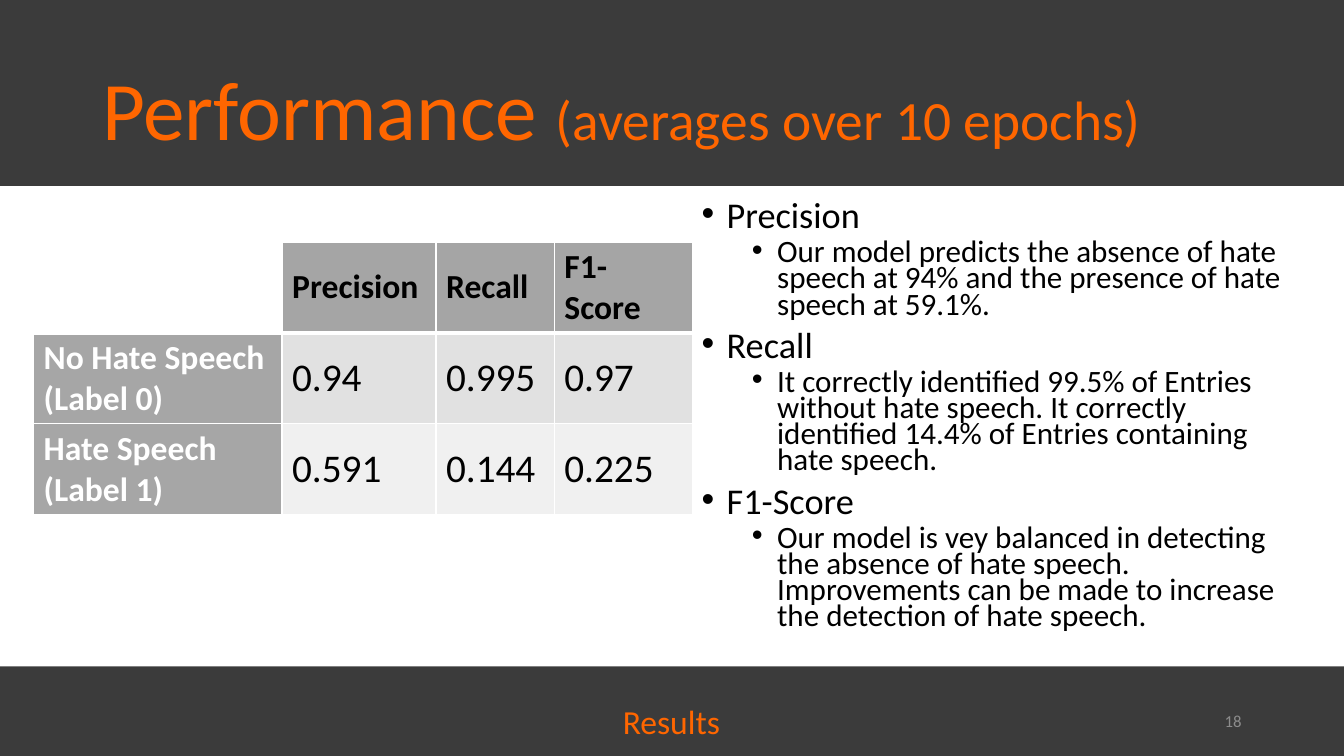
from dataclasses import dataclass

import lxml.etree
import pptx
import pptx.dml.color
import pptx.enum.shapes
import pptx.enum.text
import pptx.oxml.ns
import pptx.util

Pt = pptx.util.Pt
Align = pptx.enum.text.PP_ALIGN
Anchor = pptx.enum.text.MSO_ANCHOR
qn = pptx.oxml.ns.qn


@dataclass(frozen=True)
class Theme:
    font: str = "Calibri"
    dark: str = "3B3B3B"
    white: str = "FFFFFF"
    black: str = "000000"
    accent: str = "FF6600"
    muted: str = "8C8C8C"
    header_fill: str = "A5A5A5"
    label_fill: str = "A6A6A6"
    title_size: float = 59.4
    subtitle_size: float = 39.6
    footer_size: float = 24
    number_size: float = 12
    heading_size: float = 24
    value_size: float = 28
    metric_size: float = 25.9
    detail_size: float = 22.2


@dataclass(frozen=True)
class Area:
    left: float
    top: float
    width: float
    height: float

    def lengths(self) -> tuple:
        return Pt(self.left), Pt(self.top), Pt(self.width), Pt(self.height)


@dataclass(frozen=True)
class ScoreRow:
    label: tuple[str, str]
    scores: tuple[str, str, str]
    fill: str


@dataclass(frozen=True)
class Finding:
    metric: str
    detail: str


THEME = Theme()
SLIDE = Area(0, 0, 960, 540)
CONTENT = Area(0, 133, 960, 343)
TITLE = Area(66, 28.8, 828, 104.4)
PAGE_NUMBER = Area(678, 500.5, 216, 28.75)
FOOTER = Area(437.75, 497, 85, 36)
FINDINGS_AREA = Area(494, 142.5, 442, 347)
SCORES_AREA = Area(24, 172.8, 470.5, 194.4)
COLUMN_WIDTHS = (177.5, 110, 84.5, 98.5)
METRICS = ("Precision", "Recall", "F1-Score")
SCORE_ROWS = (
    ScoreRow(("No Hate Speech", "(Label 0)"), ("0.94", "0.995", "0.97"), "E1E1E1"),
    ScoreRow(("Hate Speech", "(Label 1)"), ("0.591", "0.144", "0.225"), "F0F0F0"),
)
FINDINGS = (
    Finding("Precision", "Our model predicts the absence of hate speech at 94% "
            "and the presence of hate speech at 59.1%."),
    Finding("Recall", "It correctly identified 99.5% of Entries without hate speech. "
            "It correctly identified 14.4% of Entries containing hate speech."),
    Finding("F1-Score", "Our model is vey balanced in detecting the absence of hate speech. "
            "Improvements can be made to increase the detection of hate speech."),
)


def color(code: str) -> pptx.dml.color.RGBColor:
    return pptx.dml.color.RGBColor.from_string(code)


def set_font(font, size: float, code: str, bold: bool = False) -> None:
    font.name = THEME.font
    font.size = Pt(size)
    font.bold = bold
    font.color.rgb = color(code)


def add_text_box(page, area: Area, anchor=Anchor.TOP, wrap: bool = True):
    frame = page.shapes.add_textbox(*area.lengths()).text_frame
    frame.word_wrap = wrap
    frame.vertical_anchor = anchor
    return frame


def add_content_panel(page) -> None:
    panel = page.shapes.add_shape(
        pptx.enum.shapes.MSO_SHAPE.RECTANGLE, *CONTENT.lengths())
    panel.shadow.inherit = False
    panel.fill.solid()
    panel.fill.fore_color.rgb = color(THEME.white)
    panel.line.fill.background()


def add_title(page) -> None:
    para = add_text_box(page, TITLE, Anchor.MIDDLE).paragraphs[0]
    para.line_spacing = 0.9
    for text, size in (("Performance ", THEME.title_size),
                       ("(averages over 10 epochs)", THEME.subtitle_size)):
        span = para.add_run()
        span.text = text
        set_font(span.font, size, THEME.accent)


def add_footer(page) -> None:
    number = add_text_box(page, PAGE_NUMBER, Anchor.MIDDLE).paragraphs[0]
    number.text = "18"
    number.alignment = Align.RIGHT
    set_font(number.font, THEME.number_size, THEME.muted)

    frame = add_text_box(page, FOOTER, wrap=False)
    frame.auto_size = pptx.enum.text.MSO_AUTO_SIZE.SHAPE_TO_FIT_TEXT
    section = frame.paragraphs[0]
    section.text = "Results"
    section.alignment = Align.JUSTIFY
    set_font(section.font, THEME.footer_size, THEME.accent)


def set_borders(cell, bottom_width: float) -> None:
    """Draw white cell borders; call before filling, as XML order matters."""
    properties = cell._tc.get_or_add_tcPr()
    for side, width in (("lnL", 1), ("lnR", 1), ("lnT", 1), ("lnB", bottom_width)):
        line = lxml.etree.SubElement(properties, qn(f"a:{side}"), w=str(Pt(width)))
        fill = lxml.etree.SubElement(line, qn("a:solidFill"))
        lxml.etree.SubElement(fill, qn("a:srgbClr"), val=THEME.white)


def fill_cell(cell, lines: tuple[str, ...], fill: str, size: float, code: str,
              bold: bool, bottom_width: float = 1) -> None:
    set_borders(cell, bottom_width)
    cell.fill.solid()
    cell.fill.fore_color.rgb = color(fill)
    cell.vertical_anchor = Anchor.MIDDLE
    para = cell.text_frame.paragraphs[0]
    for index, text in enumerate(lines):
        if index:
            para.add_line_break()
        para.add_run().text = text
    set_font(para.font, size, code, bold)


def add_scores(page) -> None:
    table = page.shapes.add_table(
        len(SCORE_ROWS) + 1, len(COLUMN_WIDTHS), *SCORES_AREA.lengths()).table
    table.first_row = table.horz_banding = False
    for column, width in zip(table.columns, COLUMN_WIDTHS):
        column.width = Pt(width)

    corner = table.cell(0, 0)
    set_borders(corner, 3)
    corner.fill.background()
    for column, metric in enumerate(METRICS, start=1):
        fill_cell(table.cell(0, column), (metric,), THEME.header_fill,
                  THEME.heading_size, THEME.black, True, bottom_width=3)
    for row, entry in enumerate(SCORE_ROWS, start=1):
        fill_cell(table.cell(row, 0), entry.label, THEME.label_fill,
                  THEME.heading_size, THEME.white, True)
        for column, score in enumerate(entry.scores, start=1):
            fill_cell(table.cell(row, column), (score,), entry.fill,
                      THEME.value_size, THEME.black, False)


def format_bullet(para, text: str, level: int) -> None:
    para.text = text
    para.level = level
    para.line_spacing = 0.7
    para.space_before = Pt((10, 5)[level])
    properties = para._p.get_or_add_pPr()
    properties.set("marL", str(Pt(18 + 36 * level)))
    properties.set("indent", str(Pt(-18)))
    lxml.etree.SubElement(properties, qn("a:buFont"), typeface="Arial")
    lxml.etree.SubElement(properties, qn("a:buChar"), char="•")
    set_font(para.font, (THEME.metric_size, THEME.detail_size)[level], THEME.black)


def add_findings(page) -> None:
    frame = add_text_box(page, FINDINGS_AREA)
    para = frame.paragraphs[0]
    for index, finding in enumerate(FINDINGS):
        if index:
            para = frame.add_paragraph()
        format_bullet(para, finding.metric, 0)
        format_bullet(frame.add_paragraph(), finding.detail, 1)


def main() -> None:
    deck = pptx.Presentation()
    deck.slide_width, deck.slide_height = Pt(SLIDE.width), Pt(SLIDE.height)
    page = deck.slides.add_slide(deck.slide_layouts[6])
    page.background.fill.solid()
    page.background.fill.fore_color.rgb = color(THEME.dark)
    add_content_panel(page)
    add_title(page)
    add_footer(page)
    add_scores(page)
    add_findings(page)
    deck.save("out.pptx")


if __name__ == "__main__":
    main()
